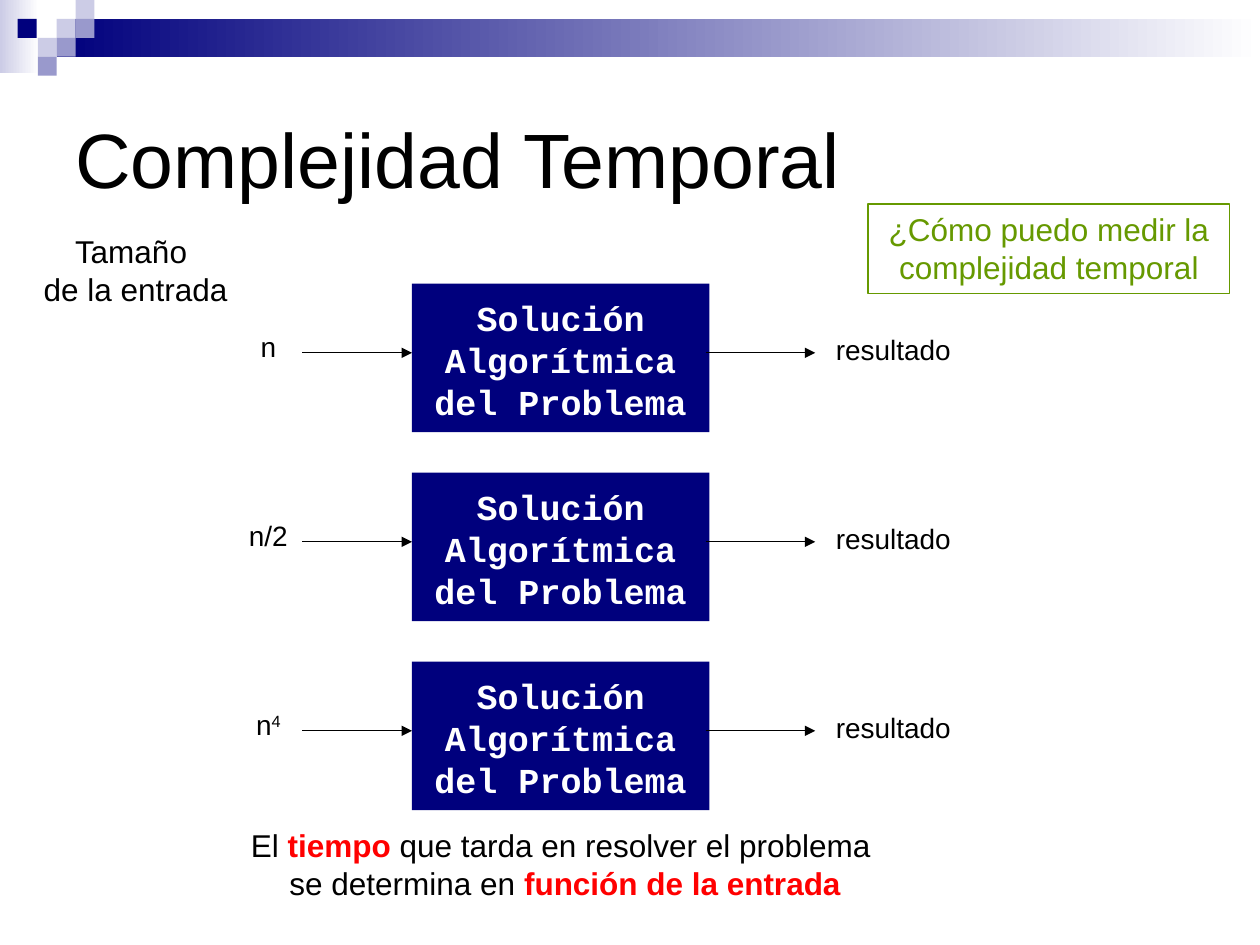
from lxml import etree
from pptx import Presentation
from pptx.dml.color import RGBColor
from pptx.enum.shapes import MSO_CONNECTOR as Connector, MSO_SHAPE as Shape
from pptx.enum.text import MSO_ANCHOR as Anchor, PP_ALIGN as Align
from pptx.oxml.ns import qn
from pptx.util import Inches, Pt

NAVY = RGBColor(0x00, 0x00, 0x7D)
LAVENDER = RGBColor(0xCC, 0xCC, 0xE6)
VIOLET = RGBColor(0x99, 0x99, 0xCC)
GREEN = RGBColor(0x66, 0x99, 0x00)
RED = RGBColor(0xFF, 0x00, 0x00)
BLACK = RGBColor(0x00, 0x00, 0x00)
WHITE = RGBColor(0xFF, 0xFF, 0xFF)

presentation = Presentation()
presentation.slide_width = Inches(10)
presentation.slide_height = Inches(7.5)
slide = presentation.slides.add_slide(presentation.slide_layouts[6])


def add_rectangle(left, top, width, height, fill=None, fade=False, line=None):
    shape = slide.shapes.add_shape(
        Shape.RECTANGLE, Inches(left), Inches(top), Inches(width), Inches(height))
    shape.shadow.inherit = False
    if fade:
        shape.fill.gradient()
        shape.fill.gradient_angle = 0
        for stop, color in zip(shape.fill.gradient_stops, (fill, WHITE)):
            stop.color.rgb = color
    elif fill is not None:
        shape.fill.solid()
        shape.fill.fore_color.rgb = fill
    else:
        shape.fill.background()
    if line is not None:
        shape.line.color.rgb = line
        shape.line.width = Pt(0.75)
    else:
        shape.line.fill.background()
    return shape


def write(shape, *paragraphs, size=18, font="Arial", color=BLACK, bold=False,
          align=Align.CENTER, anchor=Anchor.TOP, wrap=True):
    """Each paragraph is a list of runs: (text, highlight color, superscript)."""
    frame = shape.text_frame
    frame.word_wrap = wrap
    frame.vertical_anchor = anchor
    for index, runs in enumerate(paragraphs):
        paragraph = frame.add_paragraph() if index else frame.paragraphs[0]
        paragraph.alignment = align
        for text, highlight, superscript in runs:
            run = paragraph.add_run()
            run.text = text
            run.font.name = font
            run.font.size = Pt(size)
            run.font.bold = bold or highlight is not None
            run.font.color.rgb = highlight or color
            if superscript:
                run.font._element.set("baseline", "30000")
    return frame


# Header band and mosaic of small squares
add_rectangle(0, 0, 0.31, 0.58, LAVENDER, fade=True)
add_rectangle(0.45, 0.15, 9.55, 0.3, NAVY, fade=True)
for left, top, color in (
        (0.45, 0.15, LAVENDER), (0.6, 0, LAVENDER), (0.6, 0.15, VIOLET),
        (0.3, 0.3, LAVENDER), (0.14, 0.15, NAVY), (0.45, 0.3, VIOLET),
        (0.3, 0.45, VIOLET)):
    add_rectangle(left, top, 0.15, 0.15, color)

# Title
title = slide.shapes.add_textbox(Inches(0.5), Inches(0.5), Inches(9), Inches(1.5))
write(title, [("Complejidad Temporal", None, False)], size=44,
      align=Align.LEFT, anchor=Anchor.MIDDLE)

# Conclusion
conclusion = slide.shapes.add_textbox(
    Inches(1.89), Inches(6.51), Inches(5.19), Inches(0.7))
write(conclusion,
      [("El ", None, False), ("tiempo", RED, False),
       (" que tarda en resolver el problema ", None, False)],
      [("se determina en ", None, False), ("función de la entrada", RED, False)],
      wrap=False)

# Question
question = add_rectangle(6.89, 1.62, 2.87, 0.71, line=GREEN)
write(question, [("¿Cómo puedo medir la complejidad temporal", None, False)],
      color=GREEN)

# One row per input size: input, arrow, solution, arrow, result
INPUTS = (
    [("n", None, False)],
    [("n/2", None, False)],
    [("n", None, False), ("4", None, True)],
)
for row, input_runs in enumerate(INPUTS):
    top = 2.25 + 1.5 * row

    result = slide.shapes.add_textbox(
        Inches(6.34), Inches(top + 0.34), Inches(1.5), Inches(0.37))
    write(result, [("resultado", None, False)], size=16)

    solution = add_rectangle(3.27, top, 2.36, 1.18, NAVY)
    frame = write(solution, [("Solución Algorítmica del Problema", None, False)],
                  size=20, font="Courier New", color=WHITE, bold=True)
    frame.margin_top = Inches(0.1)
    frame.paragraphs[0].line_spacing = Pt(24)

    input_box = slide.shapes.add_textbox(
        Inches(1.53), Inches(top + 0.32), Inches(1.2), Inches(0.37))
    write(input_box, input_runs, size=16)

    for start in (2.4, 5.6):
        arrow = slide.shapes.add_connector(
            Connector.STRAIGHT, Inches(start), Inches(top + 0.55),
            Inches(start + 0.87), Inches(top + 0.55))
        arrow.line.color.rgb = BLACK
        arrow.line.width = Pt(0.75)
        etree.SubElement(arrow.line._get_or_add_ln(), qn("a:tailEnd"), type="triangle")
        etree.SubElement(arrow._element.spPr, qn("a:effectLst"))

# Heading of the input column
heading = slide.shapes.add_textbox(
    Inches(0.24), Inches(1.79), Inches(1.67), Inches(0.71))
write(heading, [("Tamaño ", None, False)], [("de la entrada", None, False)],
      wrap=False)

presentation.save("out.pptx")
